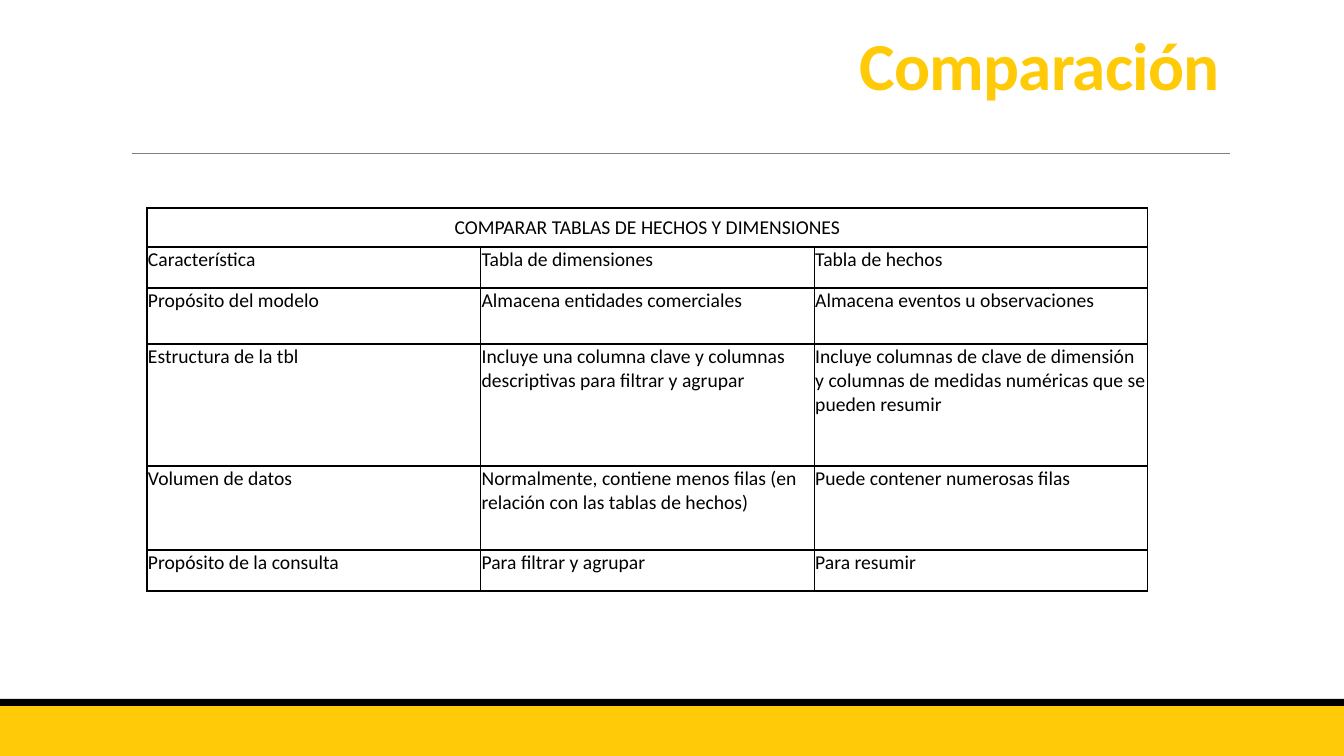
from lxml import etree
from pptx import Presentation, util as u
from pptx.dml.color import RGBColor
from pptx.enum import shapes, text
from pptx.oxml import ns


def px(n):
    return u.Emu(round(n * 914400 / 100.8))


def style(font, tint, form):
    font.color.rgb = RGBColor.from_string(tint)
    for key, val in form.items():
        setattr(font, key, val)


GOLD, BLACK, GREY = "FFCA08", "000000", "808080"

deck = Presentation()
deck.slide_width, deck.slide_height = px(1344), px(756)
slide = deck.slides.add_slide(deck.slide_layouts[6])
items = slide.shapes

for top, high, tint in [(706, 50, GOLD), (699, 7, BLACK)]:
    bar = items.add_shape(shapes.MSO_SHAPE.RECTANGLE, 0, px(top), px(1344), px(high))
    bar.shadow.inherit = False
    bar.fill.solid()
    bar.fill.fore_color.rgb = RGBColor.from_string(tint)
    bar.line.fill.background()

rule = items.add_connector(shapes.MSO_CONNECTOR.STRAIGHT, px(132), px(153), px(1230), px(153))
rule.line.color.rgb = RGBColor.from_string(GREY)
rule.line.width = u.Pt(0.5)
etree.SubElement(rule._element.spPr, ns.qn("a:effectLst"))

title = items.add_textbox(px(121), px(28), px(1109), px(160))
frame = title.text_frame
frame.word_wrap = True
frame.vertical_anchor = text.MSO_ANCHOR.TOP
para = frame.paragraphs[0]
para.alignment = text.PP_ALIGN.RIGHT
para.line_spacing = 0.9
run = para.add_run()
run.text = "Comparación"
style(run.font, GOLD, {"name": "Calibri", "size": u.Pt(48), "bold": True})
run.font._element.set("spc", "-50")

rows = [
    (39, ["COMPARAR TABLAS DE HECHOS Y DIMENSIONES", "", ""]),
    (41, ["Característica", "Tabla de dimensiones", "Tabla de hechos"]),
    (56, ["Propósito del modelo", "Almacena entidades comerciales",
          "Almacena eventos u observaciones"]),
    (122, ["Estructura de la tbl",
           "Incluye una columna clave y columnas descriptivas para filtrar y agrupar",
           "Incluye columnas de clave de dimensión y columnas de medidas numéricas"
           " que se pueden resumir"]),
    (84, ["Volumen de datos",
          "Normalmente, contiene menos filas (en relación con las tablas de hechos)",
          "Puede contener numerosas filas"]),
    (41, ["Propósito de la consulta", "Para filtrar y agrupar", "Para resumir"]),
]
high = sum(row[0] for row in rows)
grid = items.add_table(len(rows), 3, px(147), px(208), px(1001), px(high)).table
grid.first_row = grid.horz_banding = False
inset = {"margin_left": px(1), "margin_right": px(1), "margin_top": px(1), "margin_bottom": 0}

for r, (tall, words) in enumerate(rows):
    grid.rows[r].height = px(tall)
    for c, word in enumerate(words):
        cell = grid.cell(r, c)
        for key, val in inset.items():
            setattr(cell, key, val)
        cell.fill.background()
        props = cell._tc.get_or_add_tcPr()
        for i, side in enumerate(["lnL", "lnR", "lnT", "lnB"]):
            edge = etree.Element(ns.qn("a:" + side), w="12700")
            fill = etree.SubElement(edge, ns.qn("a:solidFill"))
            etree.SubElement(fill, ns.qn("a:srgbClr"), val=BLACK)
            props.insert(i, edge)
        para = cell.text_frame.paragraphs[0]
        style(para.font, BLACK, {"name": "Calibri", "size": u.Pt(14)})
        if word:
            run = para.add_run()
            run.text = word
            style(run.font, BLACK, {"name": "Calibri", "size": u.Pt(14)})

head = grid.cell(0, 0)
head.merge(grid.cell(0, 2))
head.vertical_anchor = text.MSO_ANCHOR.MIDDLE
head.text_frame.paragraphs[0].alignment = text.PP_ALIGN.CENTER

deck.save("out.pptx")
